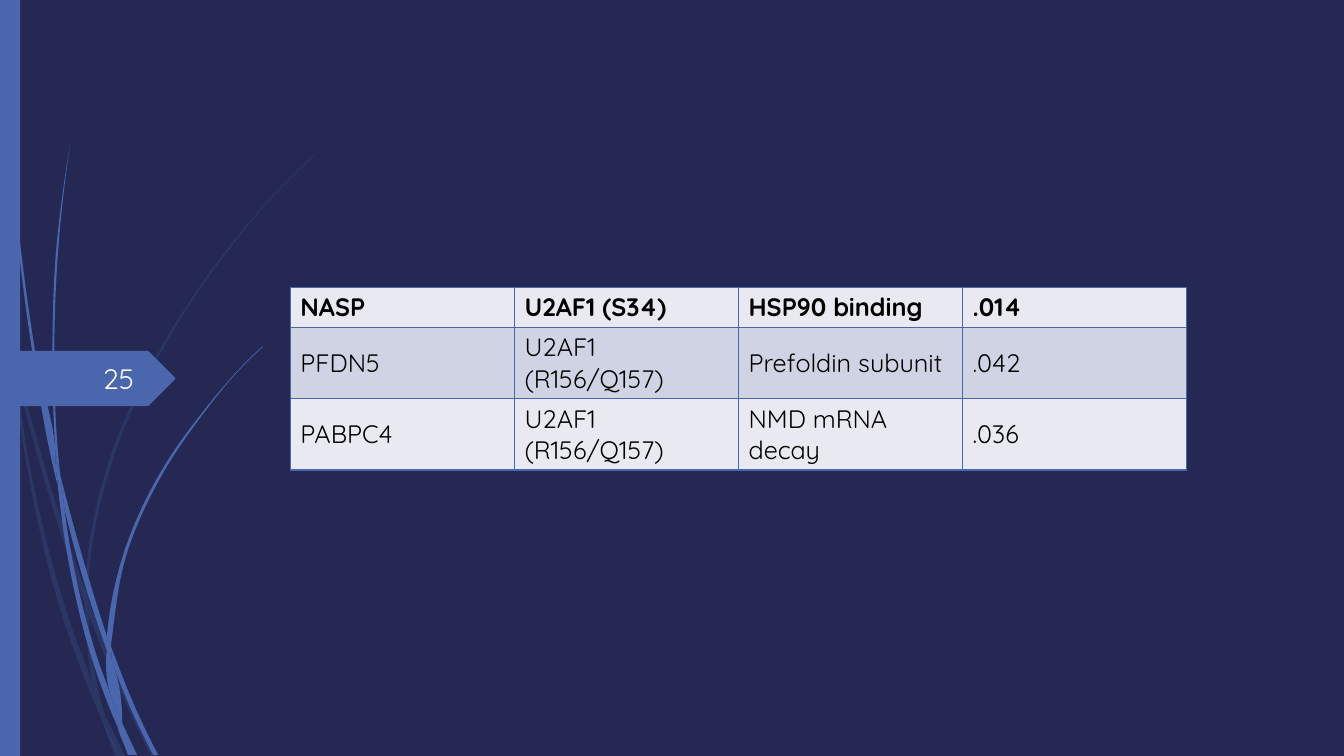
from dataclasses import dataclass
from math import dist

from lxml.etree import SubElement
from pptx import Presentation
from pptx.dml.color import RGBColor
from pptx.dml.fill import FillFormat
from pptx.enum.shapes import MSO_SHAPE
from pptx.enum.text import MSO_ANCHOR, PP_ALIGN
from pptx.oxml.ns import qn
from pptx.shapes.autoshape import Shape
from pptx.shapes.shapetree import GroupShapes, SlideShapes
from pptx.slide import Slide
from pptx.table import _Cell
from pptx.text.text import TextFrame
from pptx.util import Inches, Pt

Point = tuple[float, float]
Edge = tuple[Point, ...]

GRID = Inches(0.01)
COLUMNS, ROWS = 1333, 750
FONT = "Quicksand"
NAVY, BLUE, SLATE = "242852", "4A66AC", "384C81"
PALE, LILAC, BLACK, WHITE = "E9EAF1", "D0D3E3", "000000", "FEFFFF"


@dataclass(frozen=True)
class Blade:
    """A piece of grass between two smooth edges, in grid columns and rows."""
    outward: Edge
    back: Edge


@dataclass(frozen=True)
class TableRow:
    """A table row with its height in grid rows."""
    texts: tuple[str, ...]
    height: int
    fill: str
    bold: bool = False


FAINT_BLADES = (
    Blade(((11, 350), (9, 322), (0, 282)), ((0, 299), (10, 344))),
    Blade(((17, 376), (58, 522), (84, 599)), ((85, 586), (62, 520), (14, 345))),
    Blade(((88, 596), (92, 607), (127, 692), (155, 750)),
          ((150, 750), (123, 694), (88, 610))),
    Blade(((105, 711), (119, 750)), ((124, 750),)),
    Blade(((11, 350), (28, 470), (65, 621), (92, 693), (101, 714)),
          ((99, 707), (93, 683), (70, 619), (31, 469), (17, 376))),
    Blade(((84, 599), (87, 646), (93, 683), (96, 692), (105, 711)),
          ((103, 706), (91, 646), (88, 610), (88, 608))),
    Blade(((88, 596), (88, 584), (110, 462), (160, 349), (229, 245),
           (268, 198), (290, 175), (312, 154)),
          ((312, 153), (289, 175), (268, 197), (228, 244), (158, 348),
           (107, 461), (85, 584), (85, 586))),
    Blade(((101, 714), (114, 750)), ((119, 750),)),
    Blade(((88, 610), (88, 596)), ((85, 586), (84, 599))),
    Blade(((93, 683), (99, 707), (101, 714), (119, 750)),
          ((105, 711), (96, 692))),
)
BRIGHT_BLADES = (
    Blade(((3, 0), (4, 48), (7, 110), (17, 233), (33, 355), (56, 477), (57, 481)),
          ((55, 457), (55, 453), (36, 355), (19, 232), (8, 109), (5, 48), (4, 0))),
    Blade(((64, 505), (88, 592), (106, 645)), ((106, 631), (93, 590), (60, 472))),
    Blade(((110, 641), (113, 649), (136, 706), (157, 749)),
          ((152, 749), (132, 708), (111, 656))),
    Blade(((57, 477), (68, 557), (93, 659), (111, 708), (117, 722)),
          ((116, 717), (110, 691), (98, 657), (72, 556), (64, 505))),
    Blade(((60, 472), (58, 453), (54, 349), (58, 245), (63, 193), (70, 141)),
          ((70, 141), (62, 193), (56, 245), (52, 349), (55, 449))),
    Blade(((122, 719), (133, 749)), ((136, 749),)),
    Blade(((55, 449), (57, 477), (64, 505)), ((60, 472),)),
    Blade(((110, 641), (111, 633), (125, 552), (158, 476), (205, 406),
           (231, 374), (245, 359), (261, 344)),
          ((260, 344), (245, 358), (231, 373), (204, 405), (156, 474),
           (122, 551), (106, 631))),
    Blade(((117, 722), (127, 749)), ((131, 749),)),
    Blade(((106, 645), (110, 691), (116, 706), (122, 719)),
          ((121, 716), (111, 656), (109, 651))),
    Blade(((106, 645), (111, 656)), ((110, 641), (106, 631))),
    Blade(((110, 691), (116, 717), (117, 722), (130, 749)),
          ((133, 749), (122, 719), (116, 706))),
)
NUMBER_TAG: Edge = ((0, 348), (146, 348), (148, 349), (173, 374), (174, 375.5),
                    (173, 377), (148, 402), (146, 403), (0, 403))
TABLE_ROWS = (
    TableRow(("NASP", "U2AF1 (S34)", "HSP90 binding", ".014"), 40, PALE, True),
    TableRow(("PFDN5", "U2AF1 (R156/Q157)", "Prefoldin subunit", ".042"), 70, LILAC),
    TableRow(("PABPC4", "U2AF1 (R156/Q157)", "NMD mRNA decay", ".036"), 70, PALE),
)


def paint(fill: FillFormat, color: str) -> None:
    fill.solid()
    fill.fore_color.rgb = RGBColor.from_string(color)


def toward(start: Point, slope: Point, reach: float) -> Point:
    return start[0] + slope[0] * reach, start[1] + slope[1] * reach


def curve_points(edge: Edge) -> list[Point]:
    """Return the knots of an edge with two Bezier handles between neighbours."""
    spans = [dist(a, b) for a, b in zip(edge, edge[1:])]
    chords = [((b[0] - a[0]) / span, (b[1] - a[1]) / span)
              for a, b, span in zip(edge, edge[1:], spans)]
    if len(edge) < 3:
        slopes = chords * 2
    else:
        inner = [tuple((a * after + b * before) / (before + after) for a, b in zip(*pair))
                 for pair, before, after in zip(zip(chords, chords[1:]), spans, spans[1:])]
        first, last = (tuple(2 * a - b for a, b in zip(chords[end], inner[end]))
                       for end in (0, -1))
        slopes = [first, *inner, last]
    points = [edge[0]]
    for index, span in enumerate(spans):
        points += [toward(edge[index], slopes[index], span / 3),
                   toward(edge[index + 1], slopes[index + 1], -span / 3),
                   edge[index + 1]]
    return points


def draw_outline(shapes: SlideShapes | GroupShapes, points: list[Point],
                 color: str) -> Shape:
    corners = [(x * GRID, y * GRID) for x, y in points]
    builder = shapes.build_freeform(*corners[0], scale=1.0)
    builder.add_line_segments(corners[1:], close=True)
    shape = builder.convert_to_shape()
    shape.shadow.inherit = False
    paint(shape.fill, color)
    shape.line.fill.background()
    return shape


def bend(shape: Shape, straight: int) -> None:
    """Join each three line segments into one curve, except the numbered one."""
    lines = list(shape._element.spPr.iter(qn("a:lnTo")))
    del lines[straight]
    for first, second, third in zip(lines[::3], lines[1::3], lines[2::3]):
        first.tag = qn("a:cubicBezTo")
        for line in (second, third):
            first.append(line[0])
            line.getparent().remove(line)


def draw_blades(slide: Slide, blades: tuple[Blade, ...],
                color: str, opacity: int = 100) -> None:
    group = slide.shapes.add_group_shape()
    for blade in blades:
        outward = curve_points(blade.outward)
        shape = draw_outline(group.shapes, outward + curve_points(blade.back), color)
        bend(shape, len(outward) - 1)
        if opacity < 100:
            tint = next(shape._element.spPr.iter(qn("a:srgbClr")))
            SubElement(tint, qn("a:alpha"), val=str(opacity * 1000))


def write(frame: TextFrame, text: str, size: int, color: str, bold: bool = False) -> None:
    frame.text = text
    font = frame.paragraphs[0].font
    font.name, font.size, font.bold = FONT, Pt(size), bold
    font.color.rgb = RGBColor.from_string(color)


def add_borders(cell: _Cell, color: str) -> None:
    properties = cell._tc.get_or_add_tcPr()
    for side in ("lnL", "lnR", "lnT", "lnB"):
        border = SubElement(properties, qn(f"a:{side}"), w=str(Pt(1)))
        SubElement(SubElement(border, qn("a:solidFill")), qn("a:srgbClr"), val=color)


def draw_table(slide: Slide, rows: tuple[TableRow, ...]) -> None:
    height = sum(row.height for row in rows)
    table = slide.shapes.add_table(len(rows), len(rows[0].texts), 288 * GRID, 285 * GRID,
                                   889 * GRID, height * GRID).table
    for index, row in enumerate(rows):
        table.rows[index].height = row.height * GRID
        for column, text in enumerate(row.texts):
            cell = table.cell(index, column)
            add_borders(cell, BLUE)
            paint(cell.fill, row.fill)
            cell.margin_top = cell.margin_bottom = Inches(0.04)
            cell.vertical_anchor = MSO_ANCHOR.MIDDLE
            write(cell.text_frame, text, 18, BLACK, row.bold)


def main() -> None:
    presentation = Presentation()
    presentation.slide_width, presentation.slide_height = COLUMNS * GRID, ROWS * GRID
    slide = presentation.slides.add_slide(presentation.slide_layouts[6])
    paint(slide.background.fill, NAVY)
    draw_blades(slide, FAINT_BLADES, SLATE, 40)
    draw_blades(slide, BRIGHT_BLADES, BLUE)
    side_bar = slide.shapes.add_shape(MSO_SHAPE.RECTANGLE, 0, 0, 20 * GRID, ROWS * GRID)
    side_bar.shadow.inherit = False
    paint(side_bar.fill, BLUE)
    side_bar.line.fill.background()
    draw_outline(slide.shapes, list(NUMBER_TAG), BLUE)
    draw_table(slide, TABLE_ROWS)
    number = slide.shapes.add_textbox(58 * GRID, 355 * GRID, 85 * GRID, 40 * GRID)
    number.text_frame.word_wrap = True
    number.text_frame.vertical_anchor = MSO_ANCHOR.MIDDLE
    write(number.text_frame, "25", 20, WHITE)
    number.text_frame.paragraphs[0].alignment = PP_ALIGN.RIGHT
    presentation.save("out.pptx")


if __name__ == "__main__":
    main()
